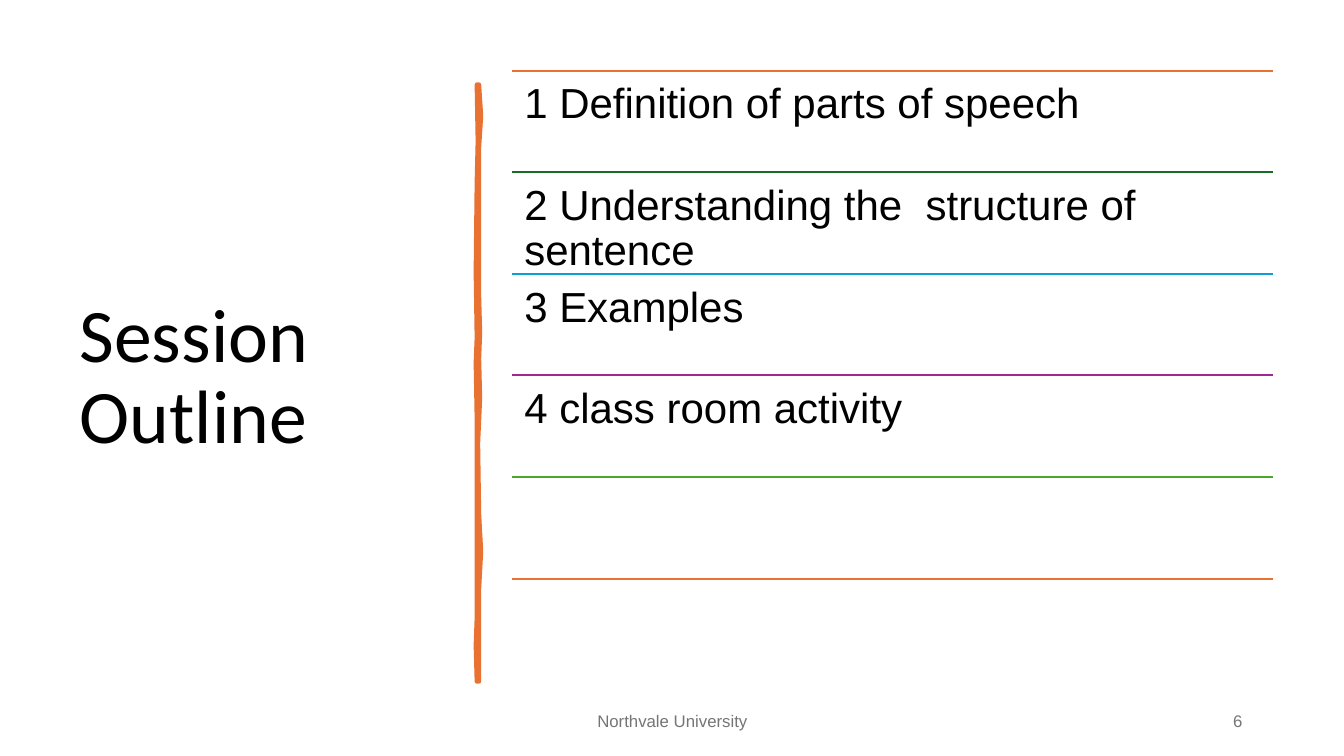
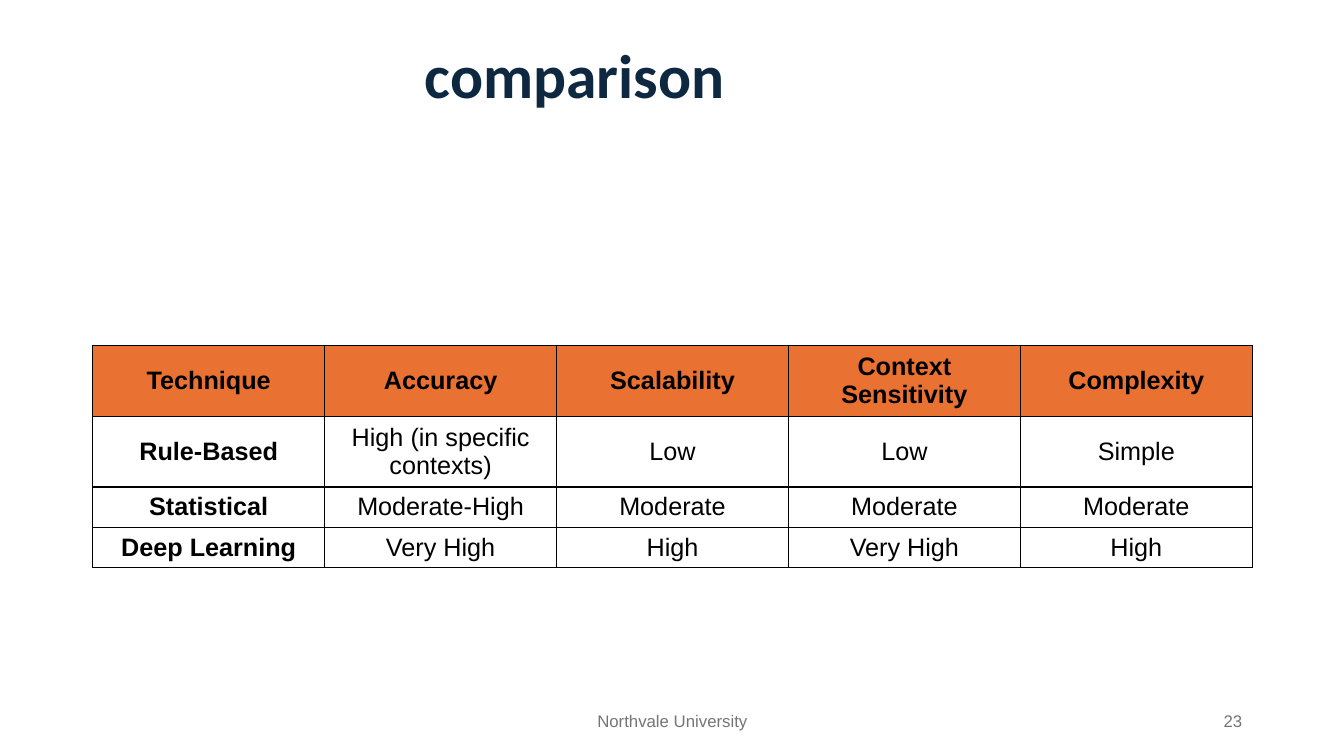
from lxml.etree import SubElement
from pptx import Presentation
from pptx.dml.color import RGBColor
from pptx.enum.shapes import MSO_CONNECTOR
from pptx.enum.text import MSO_ANCHOR, MSO_AUTO_SIZE, PP_ALIGN
from pptx.oxml.ns import qn
from pptx.util import Inches, Pt

BLACK = RGBColor(0x00, 0x00, 0x00)
NAVY = RGBColor(0x0E, 0x28, 0x41)
GRAY = RGBColor(0x75, 0x75, 0x75)
ORANGE = RGBColor(0xE9, 0x71, 0x32)
GREEN = RGBColor(0x17, 0x6B, 0x22)
BLUE = RGBColor(0x0C, 0x9E, 0xD5)
PURPLE = RGBColor(0xA0, 0x28, 0x91)
LIME = RGBColor(0x4E, 0xA6, 0x2C)

TITLE_FONT, BODY_FONT = "Calibri", "Arial"
FOOTER = "Northvale University"

OUTLINE = [
    "1 Definition of parts of speech",
    "2 Understanding the  structure of sentence",
    "3 Examples",
    "4 class room activity",
]
RULE_COLORS = [ORANGE, GREEN, BLUE, PURPLE, LIME, ORANGE]
RULE_LEFT, RULE_WIDTH = 5.08, 7.55
RULE_TOP, RULE_BOTTOM = 0.7, 5.74

# Brush stroke edges as (x, y): the right edge downwards, the left edge upwards
STROKE_RIGHT = [
    (4.75, 0.84), (4.77, 1.15), (4.75, 1.46), (4.75, 2.94), (4.76, 3.3),
    (4.75, 3.56), (4.76, 3.95), (4.74, 4.4), (4.75, 5.1), (4.77, 5.47),
    (4.75, 5.84), (4.75, 6.76),
]
STROKE_LEFT = [
    (4.73, 6.76), (4.72, 6.4), (4.73, 6.13), (4.73, 4.15), (4.72, 3.6),
    (4.73, 3.35), (4.72, 2.7), (4.73, 1.81), (4.74, 1.4), (4.73, 0.84),
]

COMPARISON = [
    ("Technique", "Accuracy", "Scalability", "Context Sensitivity", "Complexity"),
    ("Rule-Based", "High (in specific contexts)", "Low", "Low", "Simple"),
    ("Statistical", "Moderate-High", "Moderate", "Moderate", "Moderate"),
    ("Deep Learning", "Very High", "High", "Very High", "High"),
]
COLUMN_WIDTH = 2.3
ROW_HEIGHTS = [0.66, 0.66, 0.38, 0.38]


def set_font(paragraph, name, size, color, bold=False):
    font = paragraph.font
    font.name, font.size, font.bold = name, Pt(size), bold
    font.color.rgb = color


def add_text(slide, text, box, size, color, align=PP_ALIGN.LEFT,
             anchor=MSO_ANCHOR.MIDDLE):
    shape = slide.shapes.add_textbox(*map(Inches, box))
    frame = shape.text_frame
    frame.word_wrap = True
    frame.vertical_anchor = anchor
    paragraph = frame.paragraphs[0]
    paragraph.text = text
    paragraph.alignment = align
    set_font(paragraph, BODY_FONT, size, color)
    return shape


def add_slide(presentation, title, box, size, color, number, bold=False,
              anchor=MSO_ANCHOR.MIDDLE):
    """Add a slide with its title, footer and slide number."""
    slide = presentation.slides.add_slide(presentation.slide_layouts[5])
    shape = slide.shapes.title
    shape.left, shape.top, shape.width, shape.height = map(Inches, box)
    frame = shape.text_frame
    frame.text = title
    frame.auto_size = MSO_AUTO_SIZE.NONE
    frame.vertical_anchor = anchor
    paragraph = frame.paragraphs[0]
    paragraph.alignment = PP_ALIGN.LEFT
    paragraph.line_spacing = 0.9
    set_font(paragraph, TITLE_FONT, size, color, bold)
    add_text(slide, FOOTER, (4.42, 6.95, 4.5, 0.4), 12, GRAY, PP_ALIGN.CENTER)
    add_text(slide, str(number), (9.42, 6.95, 3, 0.4), 12, GRAY, PP_ALIGN.RIGHT)
    return slide


def add_rule(slide, top, color):
    line = slide.shapes.add_connector(
        MSO_CONNECTOR.STRAIGHT, Inches(RULE_LEFT), Inches(top),
        Inches(RULE_LEFT + RULE_WIDTH), Inches(top))
    line.line.color.rgb = color
    line.line.width = Pt(1.5)
    SubElement(line._element.spPr, qn("a:effectLst"))


def add_brush_stroke(slide):
    start, *points = [(Inches(x), Inches(y)) for x, y in STROKE_RIGHT + STROKE_LEFT]
    builder = slide.shapes.build_freeform(*start)
    builder.add_line_segments(points, close=True)
    stroke = builder.convert_to_shape()
    stroke.shadow.inherit = False
    stroke.fill.solid()
    stroke.fill.fore_color.rgb = ORANGE
    stroke.line.color.rgb = ORANGE
    stroke.line.width = Pt(3.25)
    SubElement(stroke.line._get_or_add_ln(), qn("a:round"))


def add_outline(slide):
    pitch = (RULE_BOTTOM - RULE_TOP) / (len(RULE_COLORS) - 1)
    for index, color in enumerate(RULE_COLORS):
        add_rule(slide, RULE_TOP + index * pitch, color)
    for index, text in enumerate(OUTLINE):
        box = (RULE_LEFT, RULE_TOP + index * pitch, RULE_WIDTH, pitch)
        frame = add_text(slide, text, box, 30, BLACK, anchor=MSO_ANCHOR.TOP).text_frame
        frame.margin_left = frame.margin_right = Inches(0.12)
        frame.margin_top = frame.margin_bottom = Inches(0.12)
        frame.paragraphs[0].line_spacing = 0.9


def set_borders(cell):
    properties = cell._tc.get_or_add_tcPr()
    for side in ("lnL", "lnR", "lnT", "lnB"):
        line = SubElement(properties, qn(f"a:{side}"), w=str(Pt(1)))
        fill = SubElement(line, qn("a:solidFill"))
        SubElement(fill, qn("a:srgbClr"), val=str(BLACK))


def add_comparison(slide):
    columns = len(COMPARISON[0])
    table = slide.shapes.add_table(
        len(COMPARISON), columns, Inches(0.92), Inches(3.43),
        Inches(COLUMN_WIDTH * columns), Inches(sum(ROW_HEIGHTS))).table
    table.first_row = table.horz_banding = False
    for column in table.columns:
        column.width = Inches(COLUMN_WIDTH)
    for row_index, texts in enumerate(COMPARISON):
        table.rows[row_index].height = Inches(ROW_HEIGHTS[row_index])
        for column_index, text in enumerate(texts):
            cell = table.cell(row_index, column_index)
            cell.text = text
            cell.vertical_anchor = MSO_ANCHOR.MIDDLE
            set_borders(cell)
            if row_index == 0:
                cell.fill.solid()
                cell.fill.fore_color.rgb = ORANGE
            else:
                cell.fill.background()
            paragraph = cell.text_frame.paragraphs[0]
            paragraph.alignment = PP_ALIGN.CENTER
            is_header = row_index == 0 or column_index == 0
            set_font(paragraph, BODY_FONT, 18, BLACK, bold=is_header)


def main():
    presentation = Presentation()
    presentation.slide_width, presentation.slide_height = Inches(13.33), Inches(7.5)

    outline = add_slide(presentation, "Session Outline", (0.69, 0.7, 3.74, 6.11),
                        54, BLACK, 6)
    add_brush_stroke(outline)
    add_outline(outline)

    comparison = add_slide(presentation, "comparison", (1.14, 0.4, 10.63, 1.45),
                           44, NAVY, 23, bold=True, anchor=MSO_ANCHOR.TOP)
    comparison.shapes.title.text_frame.margin_left = Inches(3.07)
    add_comparison(comparison)

    presentation.save("out.pptx")


if __name__ == "__main__":
    main()
